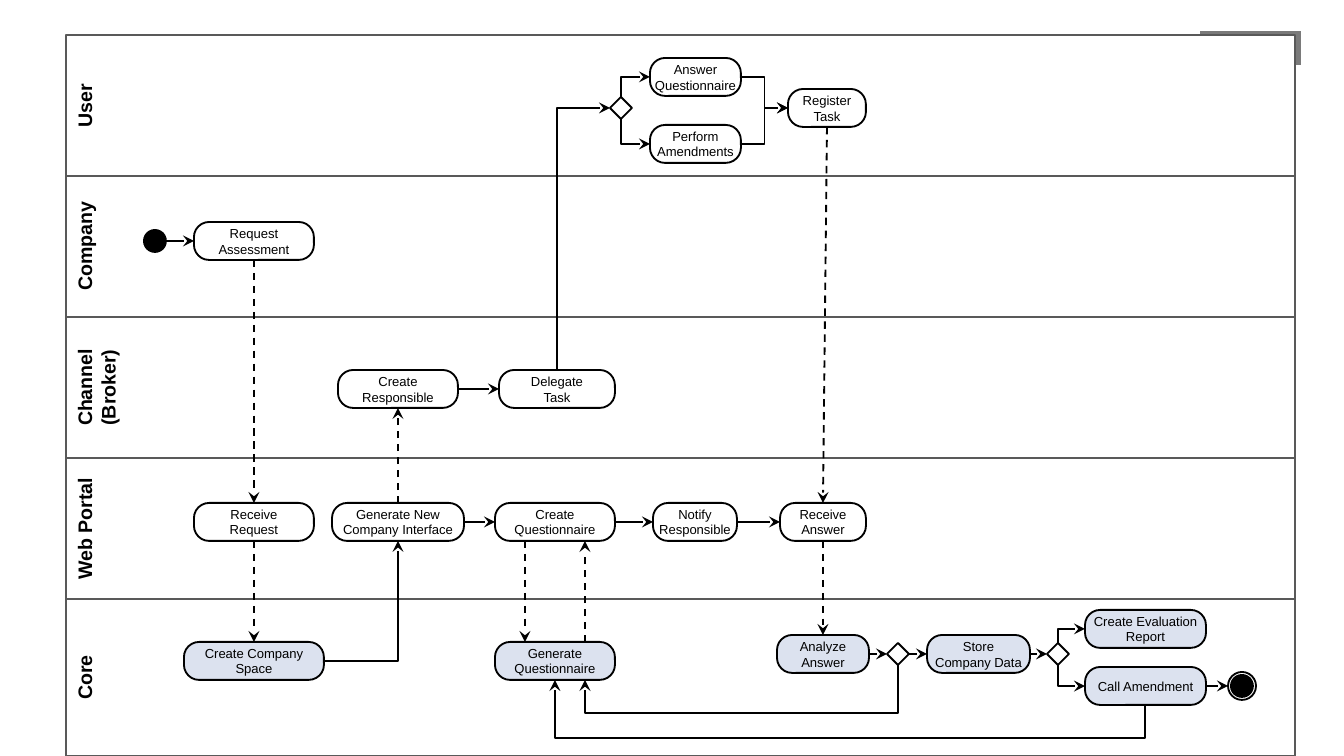
"""Build a swimlane diagram of the company assessment process."""
from lxml.etree import SubElement
from pptx import Presentation
from pptx.dml.color import RGBColor
from pptx.enum.dml import MSO_LINE as Dash
from pptx.enum.shapes import MSO_CONNECTOR as Conn, MSO_SHAPE as Form
from pptx.enum.text import MSO_ANCHOR as Anchor, PP_ALIGN as Align
from pptx.oxml.ns import qn
from pptx.util import Pt

UNIT = 914400 / 134.4
BLACK, WHITE, GREY, BLUE = "000000", "FFFFFF", "595959", "DCE2EF"

LANES = ["User", "Company", "Channel\n(Broker)", "Web Portal", "Core"]
LEFT, TOP, WIDE, STEP, LAST = 66, 35, 1229, 141, 157

HIGH = 38
TASKS = {
    "ask": ("Request Assessment", 194, 222, 120, WHITE),
    "owner": ("Create Responsible", 338, 370, 120, WHITE),
    "answer": ("Answer Questionnaire", 650, 58, 91, WHITE),
    "enter": ("Register\nTask", 788, 89, 78, WHITE),
    "amend": ("Perform\nAmendments", 650, 125, 91, WHITE),
    "receive": ("Receive Request", 194, 503, 120, WHITE),
    "assign": ("Delegate\nTask", 499, 370, 116, WHITE),
    "portal": ("Generate New Company Interface", 332, 503, 132, WHITE),
    "notify": ("Notify Responsible", 653, 503, 84, WHITE),
    "reply": ("Receive Answer", 780, 503, 86, WHITE),
    "space": ("Create Company Space", 184, 642, 140, BLUE),
    "study": ("Analyze\nAnswer", 777, 635, 92, BLUE),
    "store": ("Store\nCompany Data", 927, 635, 103, BLUE),
    "report": ("Create Evaluation Report", 1085, 610, 121, BLUE),
    "call": ("Call Amendment", 1085, 667, 121, BLUE),
    "make": ("Generate Questionnaire", 495, 642, 120, BLUE),
    "form": ("Create\nQuestionnaire", 495, 503, 120, WHITE),
}
PADDED = {"ask", "owner", "receive", "space"}
MARKS = {
    "start": (Form.OVAL, 144, 230, 22, BLACK),
    "ring": (Form.OVAL, 1228, 672, 28, WHITE),
    "core": (Form.OVAL, 1231, 675, 22, BLACK),
    "fork": (Form.DIAMOND, 610, 97, 22, WHITE),
    "check": (Form.DIAMOND, 887, 643, 22, WHITE),
    "split": (Form.DIAMOND, 1047, 643, 22, WHITE),
}

ACROSS = [("start", "ask"), ("owner", "assign"), ("portal", "form"), ("form", "notify"),
          ("notify", "reply"), ("study", "check"), ("check", "store"), ("store", "split"),
          ("call", "ring")]
DASHED = [("ask", "b", "receive", "t", .5), ("receive", "b", "space", "t", .5),
          ("portal", "t", "owner", "b", .5), ("form", "b", "make", "t", .25),
          ("make", "t", "form", "b", .75), ("enter", "b", "reply", "t", .5),
          ("reply", "b", "study", "t", .5)]
BENT = [("answer", "r", "enter", "l"), ("amend", "r", "enter", "l"),
        ("fork", "t", "answer", "l"), ("fork", "b", "amend", "l"),
        ("assign", "t", "fork", "l"), ("space", "r", "portal", "b"),
        ("split", "t", "report", "l"), ("split", "b", "call", "l")]
LOOPS = [("call", .5, 738), ("check", .75, 713)]

BOXES = {key: (x, y, w, HIGH) for key, (_, x, y, w, _) in TASKS.items()}
BOXES.update({key: (x, y, size, size) for key, (_, x, y, size, _) in MARKS.items()})


def px(n):
    return round(n * UNIT)


def ink(code):
    return RGBColor.from_string(code)


def spot(key, side, part=.5):
    x, y, w, h = BOXES[key]
    if side in "lr":
        return x + w * (side == "r"), y + h * part
    return x + w * part, y + h * (side == "b")


def box(form, x, y, w, h, fill, edge=None):
    shape = slide.shapes.add_shape(form, px(x), px(y), px(w), px(h))
    shape.shadow.inherit = False
    shape.fill.solid()
    shape.fill.fore_color.rgb = ink(fill)
    if edge:
        shape.line.color.rgb = ink(edge)
        shape.line.width = Pt(1)
    else:
        shape.line.fill.background()
    return shape


def write(shape, text, size, bold=False):
    frame = shape.text_frame
    frame.word_wrap = True
    frame.text = text
    for para in frame.paragraphs:
        para.alignment = Align.CENTER
        font = para.font
        font.name, font.size, font.bold = "Arial", Pt(size), bold
        font.color.rgb = ink(BLACK)
    return frame


def arrow(kind, a, b, dash=False):
    link = slide.shapes.add_connector(kind, *map(px, (*a, *b)))
    link.line.color.rgb = ink(BLACK)
    link.line.width = Pt(1)
    if dash:
        link.line.dash_style = Dash.DASH
    props = link.element.spPr
    SubElement(props.find(qn("a:ln")), qn("a:tailEnd"), type="stealth")
    SubElement(props, qn("a:effectLst"))
    return props


def elbow(a, side, b, end, dip=None):
    upright = side in "tb"
    start, stop = a, b
    if upright:
        mx, my = (a[0] + b[0]) / 2, (a[1] + b[1]) / 2
        dx, dy = (b[0] - a[0]) / 2, (b[1] - a[1]) / 2
        start, stop = (mx - dy, my + dx), (mx + dy, my - dx)
    props = arrow(Conn.ELBOW, start, stop)
    if upright:
        props.find(qn("a:xfrm")).set("rot", "5400000")
    geom = props.find(qn("a:prstGeom"))
    if upright != (end in "tb"):
        geom.set("prst", "bentConnector2")
    if dip:
        ratio = round((dip - a[1]) / (b[1] - a[1]) * 100000)
        SubElement(geom.find(qn("a:avLst")), qn("a:gd"), name="adj1", fmla=f"val {ratio}")


deck = Presentation()
deck.slide_width, deck.slide_height = px(1344), px(756)
slide = deck.slides.add_slide(deck.slide_layouts[6])

box(Form.RECTANGLE, 1200, 31, 101, 34, "7A7A7A")
for i, name in enumerate(LANES):
    high = LAST if i == len(LANES) - 1 else STEP
    lane = box(Form.RECTANGLE, LEFT, TOP + STEP * i, WIDE, high, WHITE, GREY)
    frame = write(lane, name, 10.5, True)
    frame.vertical_anchor = Anchor.TOP
    lane.element.txBody.find(qn("a:bodyPr")).set("vert", "vert270")

for a, b in ACROSS:
    arrow(Conn.STRAIGHT, spot(a, "r"), spot(b, "l"))
for a, side, b, end, part in DASHED:
    arrow(Conn.STRAIGHT, spot(a, side, part), spot(b, end, part), True)
for a, side, b, end in BENT:
    elbow(spot(a, side), side, spot(b, end), end)
for a, part, dip in LOOPS:
    elbow(spot(a, "b"), "b", spot("make", "b", part), "b", dip)

for form, x, y, size, fill in MARKS.values():
    box(form, x, y, size, size, fill, BLACK)
for key, (text, x, y, w, fill) in TASKS.items():
    task = box(Form.ROUNDED_RECTANGLE, x, y, w, HIGH, fill, BLACK)
    task.adjustments[0] = .4
    frame = write(task, text, 7)
    frame.vertical_anchor = Anchor.MIDDLE
    if key not in PADDED:
        frame.margin_left = frame.margin_right = 0
        frame.margin_top = frame.margin_bottom = 0

deck.save("out.pptx")
